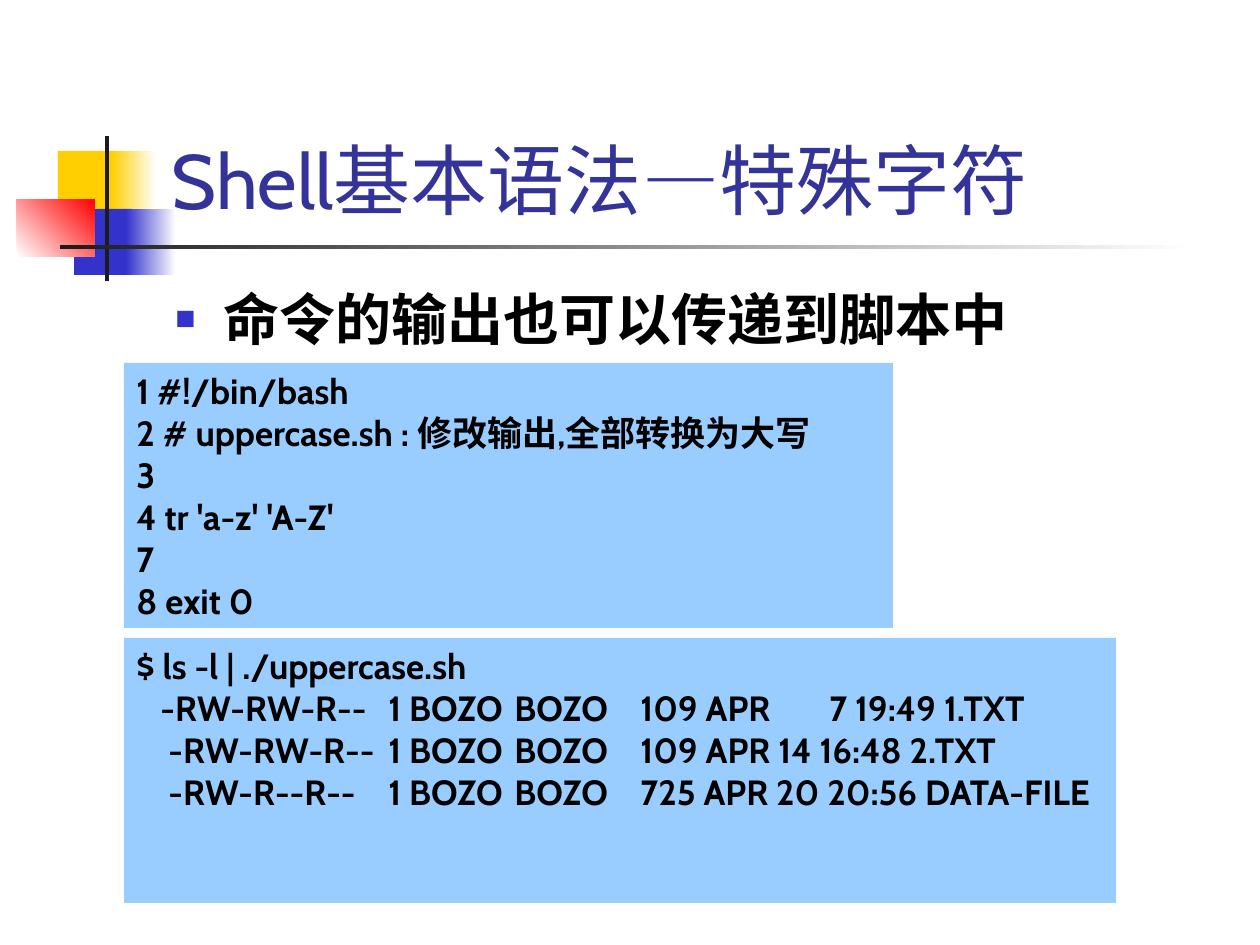
"""Builds a slide on piping command output into a shell script."""
from lxml.etree import SubElement
from pptx import Presentation
from pptx.dml.color import RGBColor
from pptx.enum.shapes import MSO_SHAPE as Shape
from pptx.enum.text import MSO_ANCHOR as Anchor, MSO_AUTO_SIZE as AutoSize, PP_ALIGN as Align
from pptx.oxml.ns import qn
from pptx.util import Pt

PX = 914400 / 126


def box(values):
    return [round(value * PX) for value in values]


def style(run, size, color, bold=False, font="Cabin"):
    run.font.name = font
    run.font.size = Pt(size)
    run.font.bold = bold
    run.font.color.rgb = RGBColor.from_string(color)


deck = Presentation()
deck.slide_width, deck.slide_height = box((1260, 945))
slide = deck.slides.add_slide(deck.slide_layouts[5])

ornaments = [
    ((58, 151, 60, 66), ["FFCF01"], 0),
    ((111, 151, 45, 66), ["FFCF01", "FFFFFF"], 0),
    ((74, 209, 58, 66), ["3333CC"], 0),
    ((126, 209, 50, 66), ["3333CC", "FFFFFF"], 0),
    ((17, 199, 78, 58), ["FFFFFF", "FF0000"], 45),
    ((105, 136, 4, 145), ["1C1C1C"], 0),
    ((60, 245, 1134, 4), ["1C1C1C", "FFFFFF"], 0),
]
for place, colors, angle in ornaments:
    ornament = slide.shapes.add_shape(Shape.RECTANGLE, *box(place))
    ornament.shadow.inherit = False
    ornament.line.fill.background()
    if len(colors) == 1:
        ornament.fill.solid()
        ornament.fill.fore_color.rgb = RGBColor.from_string(colors[0])
    else:
        ornament.fill.gradient()
        ornament.fill.gradient_angle = angle
        for stop, color in zip(ornament.fill.gradient_stops, colors):
            stop.color.rgb = RGBColor.from_string(color)

title = slide.shapes.title
title.left, title.top, title.width, title.height = box((159, 29, 1073, 202))
title.text_frame.auto_size = AutoSize.NONE
title.text_frame.vertical_anchor = Anchor.BOTTOM
heading = title.text_frame.paragraphs[0]
heading.alignment = Align.LEFT
for words, font in (("Shell基本语法", "Cabin"), ("—", "Arial"), ("特殊字符", "Cabin")):
    run = heading.add_run()
    run.text = words
    style(run, 44, "333399", font=font)

statement = slide.shapes.add_textbox(*box((163, 278, 1071, 145)))
statement.text_frame.word_wrap = True
point = statement.text_frame.paragraphs[0]
point.text = "命令的输出也可以传递到脚本中"
point.space_before = Pt(8)
style(point.runs[0], 32, "000000", bold=True)
bullet = point._p.get_or_add_pPr()
indent = round(48 * PX)
bullet.set("marL", str(indent))
bullet.set("indent", str(-indent))
SubElement(SubElement(bullet, qn("a:buClr")), qn("a:srgbClr"), val="3333CC")
SubElement(bullet, qn("a:buSzPct"), val="60000")
SubElement(bullet, qn("a:buFont"), typeface="Arial")
SubElement(bullet, qn("a:buChar"), char="■")

script_lines = [
    ("1 #!/bin/bash", []),
    ("2 # uppercase.sh : 修改输出,全部转换为大写", []),
    ("3", []),
    ("4 tr 'a-z' 'A-Z'", []),
    ("7", []),
    ("8 exit 0", []),
]
session_lines = [
    ("$ ls -l | ./uppercase.sh", []),
    ("-RW-RW-R--\t1 BOZO\tBOZO\t109 APR\t7 19:49 1.TXT", [24, 260, 391, 539, 686]),
    ("-RW-RW-R--\t1 BOZO\tBOZO\t109 APR 14 16:48 2.TXT", [32, 268, 399, 547]),
    ("-RW-R--R--\t1 BOZO\tBOZO\t725 APR 20 20:56 DATA-FILE", [32, 249, 380, 528]),
]
panels = [((124, 363, 769, 265), script_lines), ((124, 638, 992, 265), session_lines)]
for place, lines in panels:
    panel = slide.shapes.add_shape(Shape.RECTANGLE, *box(place))
    panel.shadow.inherit = False
    panel.line.fill.background()
    panel.fill.solid()
    panel.fill.fore_color.rgb = RGBColor.from_string("99CCFF")
    frame = panel.text_frame
    frame.word_wrap = True
    frame.vertical_anchor = Anchor.TOP
    for number, (words, columns) in enumerate(lines):
        line = frame.add_paragraph() if number else frame.paragraphs[0]
        line.text = words
        line.alignment = Align.LEFT
        style(line.runs[0], 20, "000000", bold=True)
        if columns:
            start, *stops = box(columns)
            layout = line._p.get_or_add_pPr()
            layout.set("marL", "0")
            layout.set("indent", str(start))
            tabs = SubElement(layout, qn("a:tabLst"))
            for stop in stops:
                SubElement(tabs, qn("a:tab"), pos=str(stop), algn="l")

deck.save("out.pptx")
